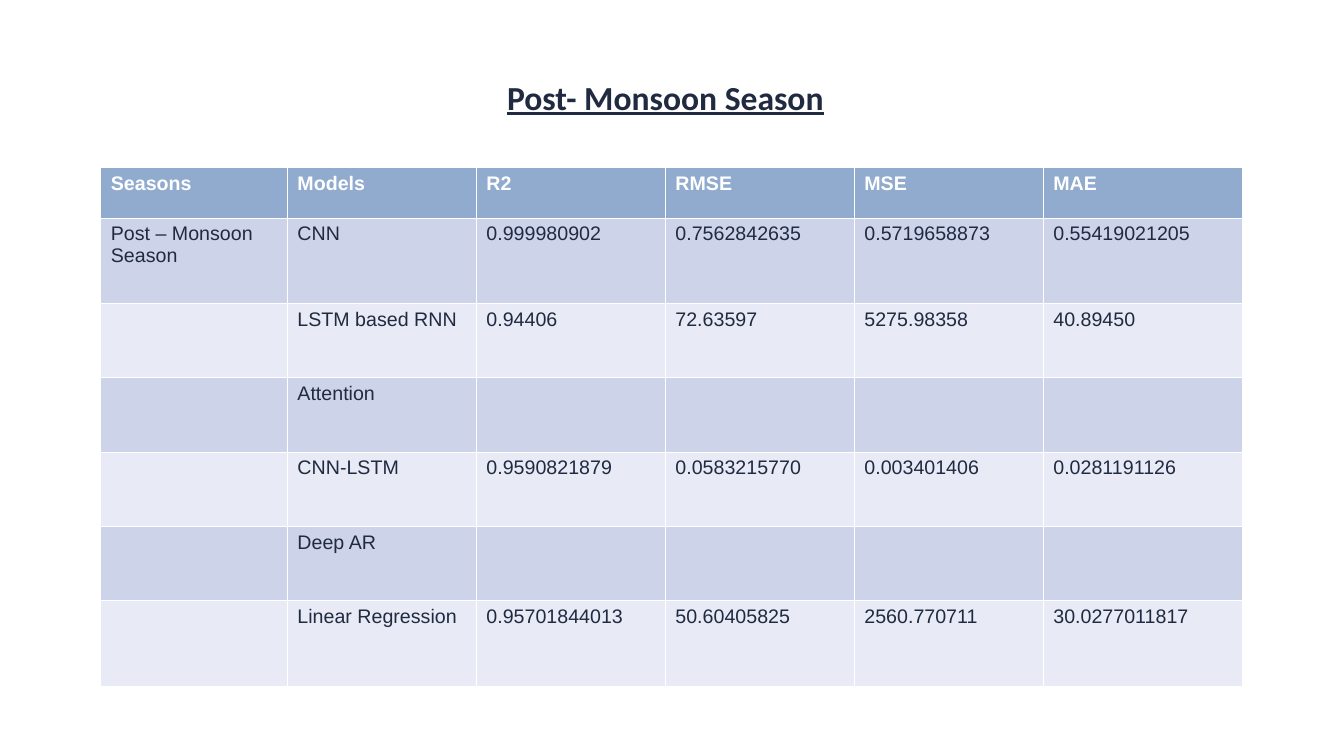
from pptx import Presentation
from pptx.dml.color import RGBColor
from pptx.enum.text import MSO_ANCHOR, MSO_AUTO_SIZE, PP_ALIGN
from pptx.util import Pt

TOP = MSO_ANCHOR.TOP
LEFT = PP_ALIGN.LEFT
FIXED = MSO_AUTO_SIZE.NONE

# Content
TITLE = "Post- Monsoon Season"
ROWS = [
    ("Seasons", "Models", "R2", "RMSE", "MSE", "MAE"),
    ("Post – Monsoon Season", "CNN", "0.999980902", "0.7562842635",
     "0.5719658873", "0.55419021205"),
    ("", "LSTM based RNN", "0.94406", "72.63597", "5275.98358", "40.89450"),
    ("", "Attention", "", "", "", ""),
    ("", "CNN-LSTM", "0.9590821879", "0.0583215770", "0.003401406",
     "0.0281191126"),
    ("", "Deep AR", "", "", "", ""),
    ("", "Linear Regression", "0.95701844013", "50.60405825", "2560.770711",
     "30.0277011817"),
]

# Sizes in points, and colours
WIDE = [133.3] + [135] * 4 + [142.3]
HIGH = [36, 61] + [53.1] * 4 + [61]
INK, WHITE = "202A41", "FFFFFF"
HEAD, BANDS = "90ABCE", ("E8EBF5", "CDD4EA")


def paint(code):
    return RGBColor.from_string(code)


def write(frame, text, font="Arial", size=14, color=INK, bold=False,
          line=False):
    para = frame.paragraphs[0]
    para.alignment = LEFT
    run = para.add_run()
    run.text = text
    face = run.font
    face.name, face.size = font, Pt(size)
    face.bold, face.underline = bold, line
    face.color.rgb = paint(color)


deck = Presentation()
deck.slide_width, deck.slide_height = Pt(960), Pt(540)
slide = deck.slides.add_slide(deck.slide_layouts[5])

# Title
title = slide.shapes.title
title.left, title.top = Pt(355), Pt(51)
title.width, title.height = Pt(250), Pt(36.35)
frame = title.text_frame
frame.vertical_anchor, frame.auto_size = TOP, FIXED
frame.word_wrap = True
write(frame, TITLE, font="Calibri", size=24, bold=True, line=True)

# Table: the default style gives the white rules
table = slide.shapes.add_table(len(ROWS), len(WIDE), Pt(72), Pt(119.8),
                               Pt(sum(WIDE)), Pt(sum(HIGH))).table
for col, width in zip(table.columns, WIDE):
    col.width = Pt(width)

for i, (row, height) in enumerate(zip(ROWS, HIGH)):
    table.rows[i].height = Pt(height)
    top = i == 0
    for j, text in enumerate(row):
        cell = table.cell(i, j)
        cell.fill.solid()
        cell.fill.fore_color.rgb = paint(HEAD if top else BANDS[i % 2])
        if text:
            write(cell.text_frame, text, color=WHITE if top else INK, bold=top)

deck.save("out.pptx")
